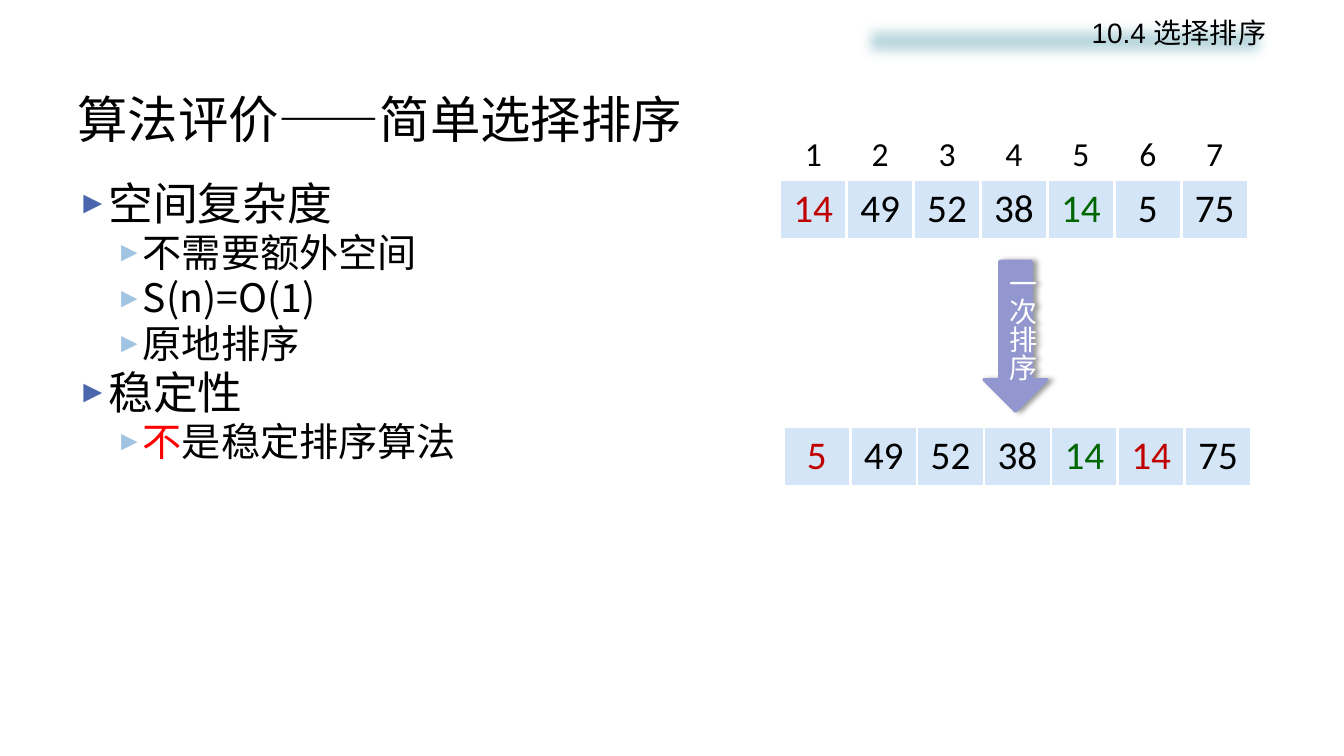
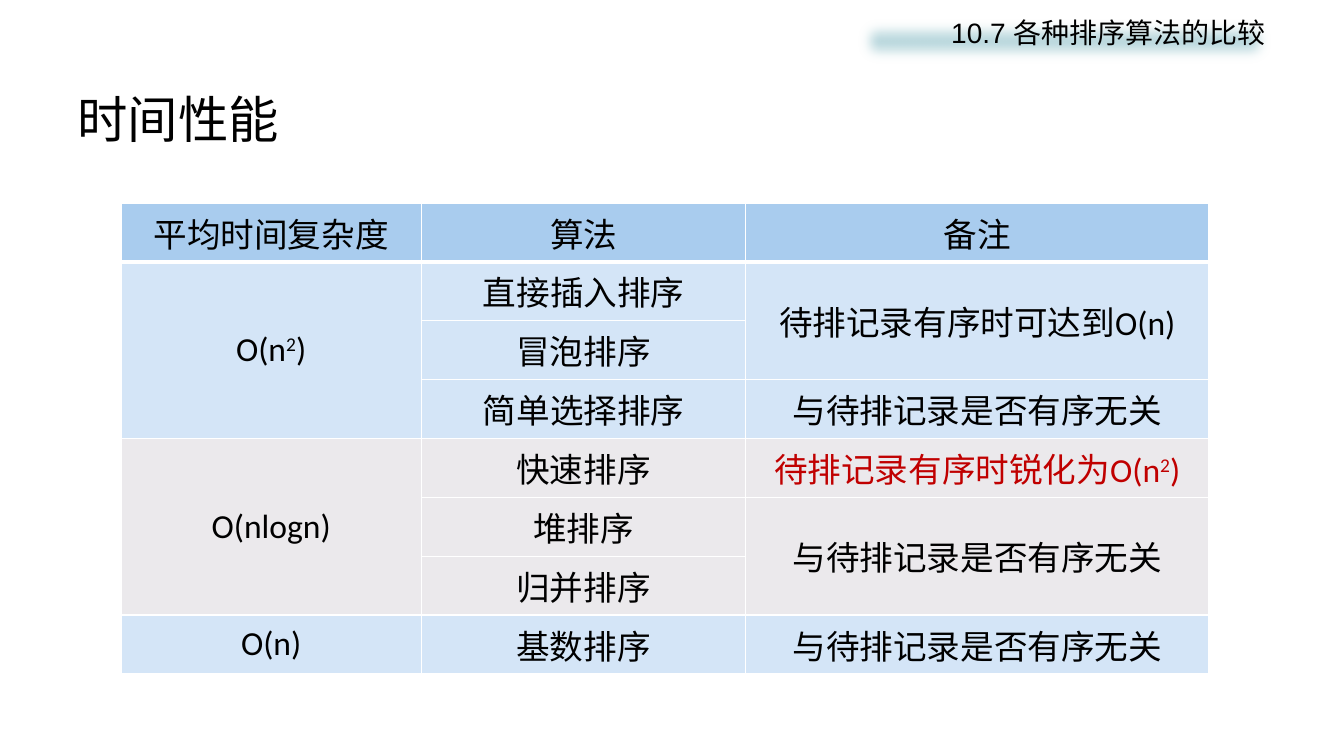
from lxml import etree
from pptx import Presentation
from pptx.dml.color import RGBColor
from pptx.enum.shapes import MSO_SHAPE
from pptx.enum.text import MSO_ANCHOR, MSO_AUTO_SIZE, PP_ALIGN
from pptx.oxml.ns import qn
from pptx.util import Pt

LEFT, CENTER, RIGHT = PP_ALIGN.LEFT, PP_ALIGN.CENTER, PP_ALIGN.RIGHT
TOP, MIDDLE = MSO_ANCHOR.TOP, MSO_ANCHOR.MIDDLE
FIXED_SIZE = MSO_AUTO_SIZE.NONE
RECTANGLE, DOWN_ARROW = MSO_SHAPE.RECTANGLE, MSO_SHAPE.DOWN_ARROW
TITLE_AND_BODY, TITLE_ONLY = 1, 5

COLORS = {
    "text": "000000", "white": "FFFFFF", "alert": "FF0000",
    "red": "C00000", "green": "006600", "band": "BDDADF",
    "arrow": "9297CF", "header": "A9CCEE", "blue": "D4E5F7",
    "gray": "EBE9EC", "bullet": "4A66AC", "sub_bullet": "A1C4E3",
}
CJK, TABLE_FONT, BAND_FONT = "Noto Sans CJK SC", "Calibri", "Arial"

# Level: text size, left margin, hanging indent, bullet colour
LEVELS = [(32, 20, 20, "bullet"), (28, 44, 16.5, "sub_bullet")]


def rgb(name):
    return RGBColor.from_string(COLORS[name])


def add_node(parent, tag, **attributes):
    return etree.SubElement(parent, qn(tag), attributes)


def add_color(parent, name):
    return add_node(parent, "a:srgbClr", val=COLORS[name])


def write(para, text, size=24, font=CJK, color="text", raised=False):
    """Add one formatted span to a paragraph."""
    span = para.add_run()
    span.text = text
    span.font.size = Pt(size)
    span.font.bold = False
    span.font.name = font
    span.font.color.rgb = rgb(color)
    properties = span.font._element
    add_node(properties, "a:ea", typeface=CJK)
    if raised:
        properties.set("baseline", "30000")


class SlideBuilder:
    """Holds the deck, its shared style and the current slide."""

    def __init__(self):
        self.deck = Presentation()
        self.deck.slide_width, self.deck.slide_height = Pt(960), Pt(540)
        self.page = None

    def start(self, layout, title, section):
        self.page = self.deck.slides.add_slide(self.deck.slide_layouts[layout])
        frame = self.place(self.page.shapes.title, 48, 57.6, 864, 54, MIDDLE)
        para = frame.paragraphs[0]
        para.alignment = LEFT
        write(para, title, size=36)
        self.band(section)

    def place(self, box, left, top, width, height, anchor):
        box.left, box.top = Pt(left), Pt(top)
        box.width, box.height = Pt(width), Pt(height)
        frame = box.text_frame
        frame.word_wrap = True
        frame.auto_size = FIXED_SIZE
        frame.vertical_anchor = anchor
        return frame

    def shape(self, kind, left, top, width, height, fill, anchor):
        box = self.page.shapes.add_shape(
            kind, Pt(left), Pt(top), Pt(width), Pt(height))
        box.shadow.inherit = False
        box.fill.solid()
        box.fill.fore_color.rgb = rgb(fill)
        self.place(box, left, top, width, height, anchor)
        return box

    def band(self, section):
        box = self.shape(RECTANGLE, 609, 10, 302.5, 39, "band", TOP)
        box.line.fill.background()
        effects = box._element.spPr.find(qn("a:effectLst"))
        add_node(effects, "a:softEdge", rad=str(Pt(10)))
        para = box.text_frame.paragraphs[0]
        para.alignment, para.line_spacing = RIGHT, 0.9
        write(para, section, size=20, font=BAND_FONT)

    def bullets(self, items):
        """Each item is a level and a list of (text, colour) spans."""
        frame = self.place(self.page.placeholders[1], 48, 126, 864, 356, TOP)
        for index, (level, spans) in enumerate(items):
            para = frame.add_paragraph() if index else frame.paragraphs[0]
            size, margin, hanging, color = LEVELS[level]
            para.level = level
            para.line_spacing, para.space_before = 0.9, Pt(2.4)
            properties = para._p.get_or_add_pPr()
            properties.set("marL", str(Pt(margin)))
            properties.set("indent", str(-Pt(hanging)))
            add_color(add_node(properties, "a:buClr"), color)
            add_node(properties, "a:buSzPct", val="70000")
            add_node(properties, "a:buFont", typeface=BAND_FONT)
            add_node(properties, "a:buChar", char="►")
            for text, span_color in spans:
                write(para, text, size=size, color=span_color)

    def arrow(self, text, left, top, width, height):
        box = self.shape(DOWN_ARROW, left, top, width, height, "arrow", MIDDLE)
        box.line.color.rgb = rgb("arrow")
        box.line.width = Pt(2)
        effects = box._element.spPr.find(qn("a:effectLst"))
        shadow = add_node(effects, "a:outerShdw", blurRad=str(Pt(4)),
                          dist=str(Pt(3)), dir="0", rotWithShape="0")
        add_node(add_color(shadow, "text"), "a:alpha", val="40000")
        para = box.text_frame.paragraphs[0]
        para.alignment, para.line_spacing = CENTER, 0.83
        write(para, text, size=20, font=BAND_FONT, color="white")

    def table(self, left, top, widths, heights):
        table = self.page.shapes.add_table(
            len(heights), len(widths), Pt(left), Pt(top),
            Pt(sum(widths)), Pt(sum(heights))).table
        table.first_row = table.horz_banding = False
        for column, width in zip(table.columns, widths):
            column.width = Pt(width)
        for row, height in zip(table.rows, heights):
            row.height = Pt(height)
        return table

    def cell(self, cell, spans, fill=None, size=24, borders=None, inset=7.2):
        """Spans are (text, format) pairs; borders map sides to widths."""
        cell.vertical_anchor = MIDDLE
        cell.margin_left = cell.margin_right = Pt(inset)
        properties = cell._tc.get_or_add_tcPr()
        for side, width in (borders or {}).items():
            line = add_node(properties, f"a:ln{side}", w=str(Pt(width)))
            add_color(add_node(line, "a:solidFill"), "white")
        if fill:
            cell.fill.solid()
            cell.fill.fore_color.rgb = rgb(fill)
        else:
            cell.fill.background()
        para = cell.text_frame.paragraphs[0]
        para.alignment = CENTER
        for text, style in spans:
            write(para, text, size=size, font=TABLE_FONT, **style)

    def array(self, left, top, values, marks, numbered=False):
        """A row of values, with coloured marks and optional positions."""
        rows = [(values, marks, "blue", 28, 41.4)]
        if numbered:
            positions = range(1, len(values) + 1)
            rows.insert(0, (positions, {}, None, 24, 36.5))
        table = self.table(left, top, [47.8] * len(values),
                           [row[-1] for row in rows])
        for row, (numbers, colors, fill, size, _) in enumerate(rows):
            for column, number in enumerate(numbers):
                style = {"color": colors.get(column, "text")}
                self.cell(table.cell(row, column), [(str(number), style)],
                          fill, size, {"L": 2.25, "R": 2.25}, inset=3.6)


def squared(prefix, **style):
    return [(prefix + "O(n", style), ("2", {**style, "raised": True}),
            (")", style)]


def plain(text):
    return [(text, {})]


def selection_sort(builder):
    builder.start(TITLE_AND_BODY, "算法评价——简单选择排序", "10.4 选择排序")
    builder.bullets([
        (0, [("空间复杂度", "text")]),
        (1, [("不需要额外空间", "text")]),
        (1, [("S(n)=O(1)", "text")]),
        (1, [("原地排序", "text")]),
        (0, [("稳定性", "text")]),
        (1, [("不", "alert"), ("是稳定排序算法", "text")]),
    ])
    # Array before and after one pass
    builder.array(557, 92.2, [14, 49, 52, 38, 14, 5, 75],
                  {0: "red", 4: "green"}, numbered=True)
    builder.array(559.5, 305.3, [5, 49, 52, 38, 14, 14, 75],
                  {0: "red", 4: "green", 5: "red"})
    builder.arrow("一次排序", 702.7, 186.5, 45.4, 107.3)


def time_performance(builder):
    builder.start(TITLE_ONLY, "时间性能", "10.7 各种排序算法的比较")
    unrelated = plain("与待排记录是否有序无关")
    # Each row: fill, then cells as (rows spanned, spans); None is covered
    rows = [
        ("header", (1, plain("平均时间复杂度")), (1, plain("算法")),
         (1, plain("备注"))),
        ("blue", (3, squared("")), (1, plain("直接插入排序")),
         (2, plain("待排记录有序时可达到O(n)"))),
        ("blue", None, (1, plain("冒泡排序")), None),
        ("blue", None, (1, plain("简单选择排序")), (1, unrelated)),
        ("gray", (3, plain("O(nlogn)")), (1, plain("快速排序")),
         (1, squared("待排记录有序时锐化为", color="red"))),
        ("gray", None, (1, plain("堆排序")), (2, unrelated)),
        ("gray", None, (1, plain("归并排序")), None),
        ("blue", (1, plain("O(n)")), (1, plain("基数排序")), (1, unrelated)),
    ]
    table = builder.table(86.4, 145, [214.6, 231.8, 330.5], [42] * len(rows))
    for row, (fill, *cells) in enumerate(rows):
        borders = {"L": 1, "R": 1, "T": 3 if row == 1 else 1,
                   "B": 3 if row == 0 else 1}
        for column, content in enumerate(cells):
            if content is None:
                continue
            height, spans = content
            cell = table.cell(row, column)
            if height > 1:
                cell.merge(table.cell(row + height - 1, column))
            builder.cell(cell, spans, fill, borders=borders)


def main():
    builder = SlideBuilder()
    selection_sort(builder)
    time_performance(builder)
    builder.deck.save("out.pptx")


if __name__ == "__main__":
    main()
